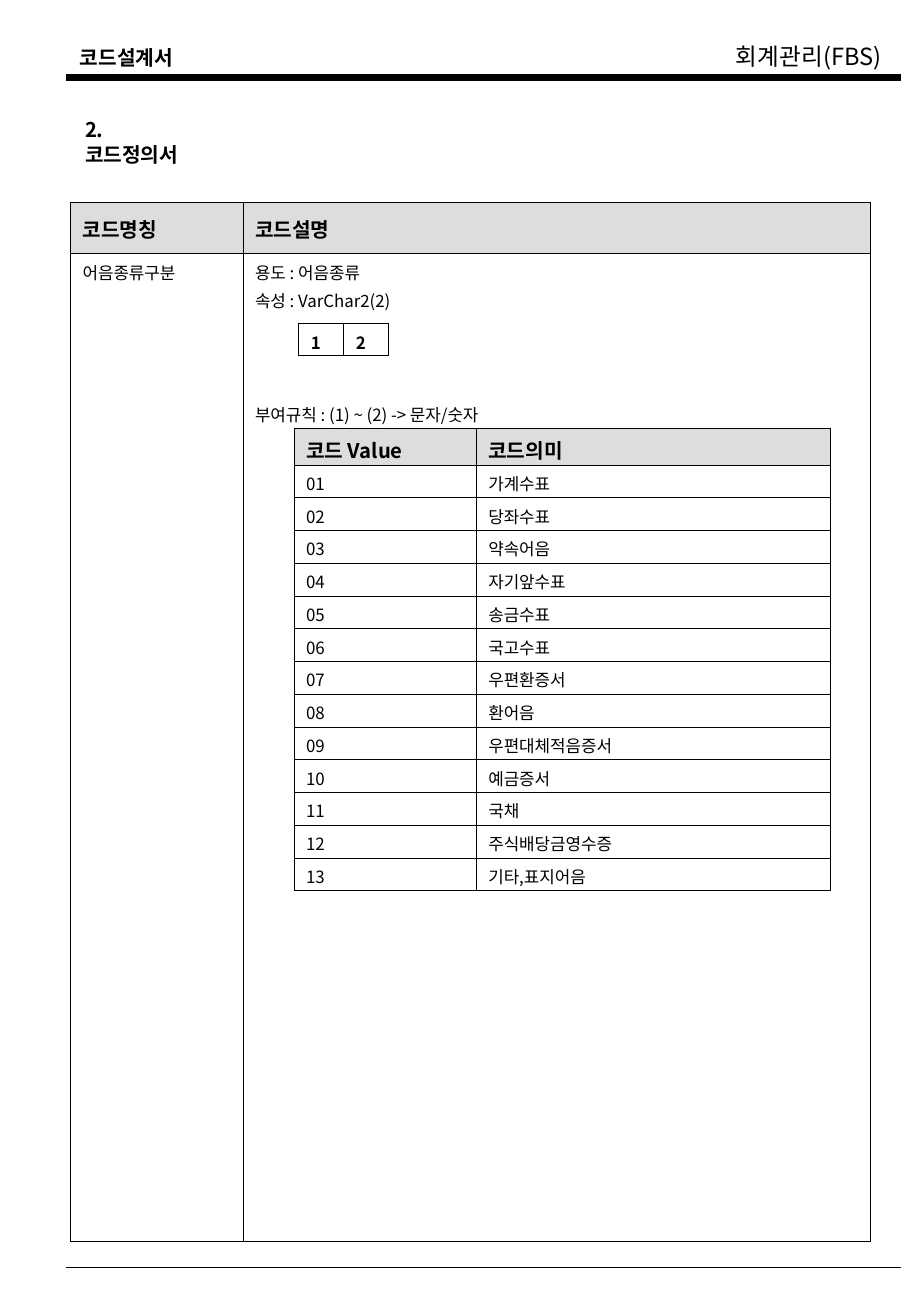
"""Build the code definition page of the accounting code design document."""
from dataclasses import dataclass

from lxml.etree import SubElement
from pptx import Presentation
from pptx.dml.color import RGBColor
from pptx.enum.shapes import MSO_CONNECTOR
from pptx.enum.text import MSO_ANCHOR, MSO_AUTO_SIZE, PP_ALIGN
from pptx.oxml.ns import qn
from pptx.slide import Slide
from pptx.table import _Cell
from pptx.text.text import TextFrame, _Paragraph
from pptx.util import Emu, Pt

PX = 9144
FONT = "Noto Sans CJK KR"
COLORS = {"ink": "000000", "header": "DDDDDD"}
INSET_X, INSET_Y = 10, 5


@dataclass(frozen=True)
class Line:
    text: str
    before: float = 2.5


@dataclass(frozen=True)
class Label:
    text: str
    left: int
    top: int
    width: int
    height: int
    size: int
    bold: bool


@dataclass(frozen=True)
class Rule:
    y: int
    weight: float


@dataclass(frozen=True)
class Grid:
    left: int
    top: int
    columns: list[int]
    heights: list[int]
    rows: list[list[list[Line]]]
    edge: float = 0.45
    row_rule: float = 0.45
    inset_bottom: int = 0
    header: bool = True


COLUMN_RULE = 0.45
LABELS = [
    Label("코드설계서", 56, 32, 96, 30, 12, True),
    Label("회계관리(FBS)", 596, 30, 145, 34, 14, False),
]
RULES = [Rule(64, 4.5), Rule(1044, 1)]
RULE_LEFT, RULE_RIGHT = 54, 742
MEANINGS = [
    "가계수표", "당좌수표", "약속어음", "자기앞수표", "송금수표", "국고수표", "우편환증서",
    "환어음", "우편대체적음증서", "예금증서", "국채", "주식배당금영수증", "기타,표지어음",
]
DESCRIPTION = [
    Line("용도 : 어음종류"),
    Line("속성 : VarChar2(2)"),
    Line("부여규칙 : (1) ~ (2) -> 문자/숫자", before=53.4),
]


def plain_row(*texts: str) -> list[list[Line]]:
    """Return a table row with one line in each cell."""
    return [[Line(text)] for text in texts]


GRIDS = [
    Grid(58, 167, [142, 517], [42, 814],
         [plain_row("코드명칭", "코드설명"), [[Line("어음종류구분")], DESCRIPTION]],
         edge=0.75, inset_bottom=INSET_Y),
    Grid(242, 353, [150, 292], [30] + [27] * len(MEANINGS),
         [plain_row("코드 Value", "코드의미")]
         + [plain_row(f"{number:02d}", meaning)
            for number, meaning in enumerate(MEANINGS, start=1)],
         row_rule=0.34),
    Grid(246, 266, [37, 37], [27], [plain_row("1", "2")], header=False),
]


def px(length: int) -> Emu:
    """Turn a length in px into EMU."""
    return Emu(length * PX)


def write(para: _Paragraph, text: str, *, size: float, bold: bool) -> None:
    """Write one formatted span into a paragraph."""
    para.alignment = PP_ALIGN.LEFT
    span = para.add_run()
    span.text = text
    span.font.size = Pt(size)
    span.font.bold = bold
    span.font.color.rgb = RGBColor.from_string(COLORS["ink"])
    span.font.name = FONT
    SubElement(span.font._element, qn("a:ea")).set("typeface", FONT)


def set_frame(frame: TextFrame, *, wrap: bool) -> None:
    """Set insets, anchor and wrapping of a text frame."""
    frame.margin_left = frame.margin_right = px(INSET_X)
    frame.margin_top = frame.margin_bottom = px(INSET_Y)
    frame.vertical_anchor = MSO_ANCHOR.TOP
    frame.auto_size = MSO_AUTO_SIZE.NONE
    frame.word_wrap = wrap


def add_title(page: Slide) -> None:
    """Place and format the title placeholder."""
    title = page.shapes.title
    title.left, title.top, title.width, title.height = map(px, (60, 92, 110, 50))
    set_frame(title.text_frame, wrap=True)
    write(title.text_frame.paragraphs[0], "2. 코드정의서", size=12, bold=True)


def add_label(page: Slide, label: Label) -> None:
    """Add a page header text."""
    box = page.shapes.add_textbox(
        px(label.left), px(label.top), px(label.width), px(label.height))
    set_frame(box.text_frame, wrap=False)
    write(box.text_frame.paragraphs[0], label.text, size=label.size, bold=label.bold)


def add_rule(page: Slide, rule: Rule) -> None:
    """Add a horizontal page rule."""
    line = page.shapes.add_connector(
        MSO_CONNECTOR.STRAIGHT, px(RULE_LEFT), px(rule.y), px(RULE_RIGHT), px(rule.y))
    line.line.color.rgb = RGBColor.from_string(COLORS["ink"])
    line.line.width = Pt(rule.weight)
    SubElement(line._element.spPr, qn("a:effectLst"))


def set_borders(cell: _Cell, weights: dict[str, float]) -> None:
    """Draw the four borders of a cell."""
    properties = cell._tc.get_or_add_tcPr()
    for side, weight in weights.items():
        border = SubElement(properties, qn(f"a:ln{side}"), w=str(int(Pt(weight))))
        fill = SubElement(border, qn("a:solidFill"))
        SubElement(fill, qn("a:srgbClr"), val=COLORS["ink"])


def row_weight(grid: Grid, boundary: int) -> float:
    """Return the weight of the horizontal border above a row index."""
    if boundary in (0, len(grid.rows)):
        return grid.edge
    return COLUMN_RULE if boundary == 1 else grid.row_rule


def add_grid(page: Slide, grid: Grid) -> None:
    """Add a bordered table."""
    count = len(grid.columns)
    table = page.shapes.add_table(
        len(grid.rows), count, px(grid.left), px(grid.top),
        px(sum(grid.columns)), px(sum(grid.heights))).table
    table.first_row = grid.header
    table.horz_banding = False
    for column, width in zip(table.columns, grid.columns):
        column.width = px(width)
    for row, height in zip(table.rows, grid.heights):
        row.height = px(height)
    for row_index, cells in enumerate(grid.rows):
        heading = grid.header and row_index == 0
        for column_index, lines in enumerate(cells):
            cell = table.cell(row_index, column_index)
            cell.margin_left = cell.margin_right = px(INSET_X)
            cell.margin_top = px(INSET_Y)
            cell.margin_bottom = px(grid.inset_bottom)
            cell.vertical_anchor = MSO_ANCHOR.MIDDLE if row_index == 0 else MSO_ANCHOR.TOP
            set_borders(cell, {
                "L": grid.edge if column_index == 0 else COLUMN_RULE,
                "R": grid.edge if column_index == count - 1 else COLUMN_RULE,
                "T": row_weight(grid, row_index),
                "B": row_weight(grid, row_index + 1),
            })
            if heading:
                cell.fill.solid()
                cell.fill.fore_color.rgb = RGBColor.from_string(COLORS["header"])
            else:
                cell.fill.background()
            for line_index, line in enumerate(lines):
                para = cell.text_frame.paragraphs[0]
                if line_index:
                    para = cell.text_frame.add_paragraph()
                    para.space_before = Pt(line.before)
                write(para, line.text, size=12 if heading else 10, bold=row_index == 0)


def main() -> None:
    """Build and save the deck."""
    deck = Presentation()
    deck.slide_width, deck.slide_height = px(750), px(1084)
    page = deck.slides.add_slide(deck.slide_layouts[5])
    add_title(page)
    for label in LABELS:
        add_label(page, label)
    for rule in RULES:
        add_rule(page, rule)
    for grid in GRIDS:
        add_grid(page, grid)
    deck.save("out.pptx")


if __name__ == "__main__":
    main()
